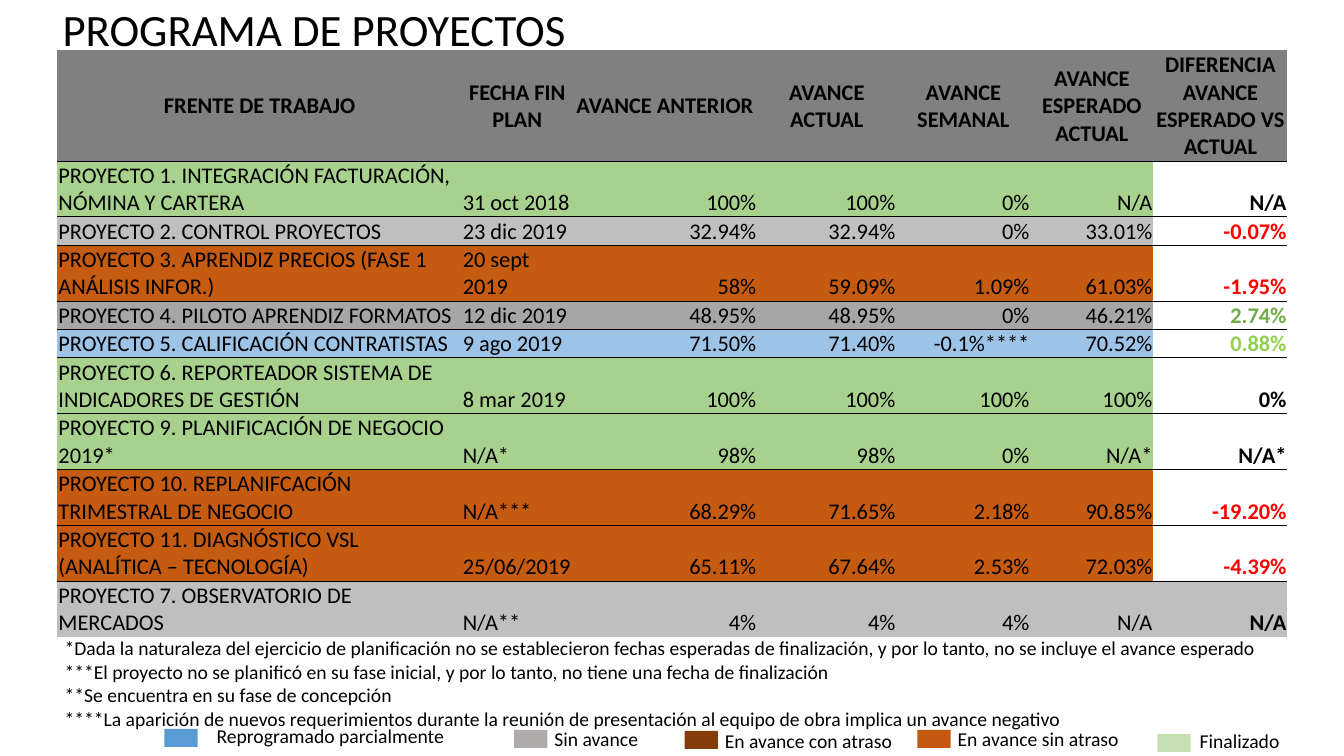
from dataclasses import dataclass
from typing import Any

from lxml import etree
from pptx import Presentation
from pptx import util as u
from pptx.dml.color import RGBColor
from pptx.enum import shapes, text
from pptx.oxml import ns

BLACK = RGBColor(0x00, 0x00, 0x00)
WHITE = RGBColor(0xFF, 0xFF, 0xFF)
HEADER_GRAY = RGBColor(0x80, 0x80, 0x80)
LIGHT_GRAY = RGBColor(0xBF, 0xBF, 0xBF)
MID_GRAY = RGBColor(0xA6, 0xA6, 0xA6)
GREEN = RGBColor(0xA9, 0xD1, 0x8E)
ORANGE = RGBColor(0xC5, 0x5A, 0x11)
BLUE = RGBColor(0x9D, 0xC3, 0xE6)
RED = RGBColor(0xFF, 0x00, 0x00)
GAIN_GREEN = RGBColor(0x70, 0xAD, 0x47)
GAIN_LIME = RGBColor(0x92, 0xD0, 0x50)
KEY_BLUE = RGBColor(0x5B, 0x9B, 0xD5)
KEY_GRAY = RGBColor(0xAF, 0xAB, 0xAB)
KEY_BROWN = RGBColor(0x84, 0x3C, 0x0B)
KEY_ORANGE = RGBColor(0xC6, 0x59, 0x11)
KEY_GREEN = RGBColor(0xC6, 0xE0, 0xB4)

FONT = "Calibri"
ALIGN = text.PP_ALIGN
ONE_LINE, TWO_LINES, HEADER_HEIGHT = 0.28, 0.54, 1.09
COLUMN_WIDTHS = [4.01, 1.1, 1.83, 1.38, 1.33, 1.22, 1.33]
CELL_FORMAT = {"margin_left": u.Inches(0.01), "margin_right": u.Inches(0.01),
               "margin_top": u.Inches(0.01), "margin_bottom": 0}
FRAME_FORMAT = {"word_wrap": True, "auto_size": text.MSO_AUTO_SIZE.NONE,
                "vertical_anchor": text.MSO_ANCHOR.TOP,
                "margin_left": u.Inches(0.1), "margin_right": u.Inches(0.1),
                "margin_top": u.Inches(0.05), "margin_bottom": u.Inches(0.05)}


@dataclass
class Project:
    values: list[str]
    fill: RGBColor
    height: float = TWO_LINES
    difference_color: RGBColor = BLACK
    difference_fill: RGBColor = WHITE


@dataclass
class LegendKey:
    label: str
    color: RGBColor
    left: float
    top: float
    label_left: float
    label_top: float
    label_width: float


HEADERS = ["FRENTE DE TRABAJO", "FECHA FIN PLAN", "AVANCE ANTERIOR", "AVANCE ACTUAL",
           "AVANCE SEMANAL", "AVANCE ESPERADO ACTUAL",
           "DIFERENCIA AVANCE ESPERADO VS ACTUAL"]

PROJECTS = [
    Project(["PROYECTO 1. INTEGRACIÓN FACTURACIÓN, NÓMINA Y CARTERA", "31 oct 2018",
             "100%", "100%", "0%", "N/A", "N/A"], GREEN),
    Project(["PROYECTO 2. CONTROL PROYECTOS", "23 dic 2019",
             "32.94%", "32.94%", "0%", "33.01%", "-0.07%"], LIGHT_GRAY, ONE_LINE, RED),
    Project(["PROYECTO 3. APRENDIZ PRECIOS (FASE 1 ANÁLISIS INFOR.)", "20 sept 2019",
             "58%", "59.09%", "1.09%", "61.03%", "-1.95%"], ORANGE, TWO_LINES, RED),
    Project(["PROYECTO 4. PILOTO APRENDIZ FORMATOS", "12 dic 2019",
             "48.95%", "48.95%", "0%", "46.21%", "2.74%"], MID_GRAY, ONE_LINE, GAIN_GREEN),
    Project(["PROYECTO 5. CALIFICACIÓN CONTRATISTAS", "9 ago 2019",
             "71.50%", "71.40%", "-0.1%****", "70.52%", "0.88%"], BLUE, ONE_LINE, GAIN_LIME),
    Project(["PROYECTO 6. REPORTEADOR SISTEMA DE INDICADORES DE GESTIÓN", "8 mar 2019",
             "100%", "100%", "100%", "100%", "0%"], GREEN),
    Project(["PROYECTO 9. PLANIFICACIÓN DE NEGOCIO 2019*", "N/A*",
             "98%", "98%", "0%", "N/A*", "N/A*"], GREEN),
    Project(["PROYECTO 10. REPLANIFCACIÓN TRIMESTRAL DE NEGOCIO", "N/A***",
             "68.29%", "71.65%", "2.18%", "90.85%", "-19.20%"], ORANGE, TWO_LINES, RED),
    Project(["PROYECTO 11. DIAGNÓSTICO VSL (ANALÍTICA – TECNOLOGÍA)", "25/06/2019",
             "65.11%", "67.64%", "2.53%", "72.03%", "-4.39%"], ORANGE, TWO_LINES, RED),
    Project(["PROYECTO 7. OBSERVATORIO DE MERCADOS", "N/A**",
             "4%", "4%", "4%", "N/A", "N/A"], LIGHT_GRAY, difference_fill=LIGHT_GRAY),
]

FOOTNOTES = [
    "*Dada la naturaleza del ejercicio de planificación no se establecieron fechas esperadas "
    "de finalización, y por lo tanto, no se incluye el avance esperado",
    "***El proyecto no se planificó en su fase inicial, y por lo tanto, no tiene una fecha "
    "de finalización",
    "**Se encuentra en su fase de concepción",
    "****La aparición de nuevos requerimientos durante la reunión de presentación al equipo "
    "de obra implica un avance negativo",
]

LEGEND = [
    LegendKey("Reprogramado parcialmente", KEY_BLUE, 1.63, 7.23, 2.05, 7.13, 2.97),
    LegendKey("Sin avance", KEY_GRAY, 5.1, 7.24, 5.4, 7.16, 1.3),
    LegendKey("En avance con atraso", KEY_BROWN, 6.79, 7.25, 7.09, 7.18, 1.93),
    LegendKey("En avance sin atraso", KEY_ORANGE, 9.1, 7.24, 9.4, 7.16, 1.93),
    LegendKey("Finalizado", KEY_GREEN, 11.48, 7.28, 11.8, 7.18, 1.02),
]


def apply_format(target: Any, values: dict[str, Any]) -> None:
    for name, value in values.items():
        setattr(target, name, value)


def place(shape: Any, left: float, top: float, width: float, height: float) -> None:
    apply_format(shape, {"left": u.Inches(left), "top": u.Inches(top),
                         "width": u.Inches(width), "height": u.Inches(height)})


def write(frame: Any, lines: list[str], size: float, bold: bool = False,
          color: RGBColor = BLACK, align: Any = ALIGN.LEFT) -> None:
    for index, line in enumerate(lines):
        paragraph = frame.paragraphs[0] if index == 0 else frame.add_paragraph()
        run = paragraph.add_run()
        run.text = line
        apply_format(paragraph, {"alignment": align, "space_before": u.Pt(0)})
        apply_format(run.font, {"name": FONT, "size": u.Pt(size), "bold": bold})
        run.font.color.rgb = color


def set_borders(cell: Any, top: bool, bottom: bool) -> None:
    properties = cell._tc.get_or_add_tcPr()
    for side, visible in (("L", False), ("R", False), ("T", top), ("B", bottom)):
        line = etree.SubElement(properties, ns.qn(f"a:ln{side}"), w=str(u.Pt(0.5)))
        if visible:
            fill = etree.SubElement(line, ns.qn("a:solidFill"))
            etree.SubElement(fill, ns.qn("a:srgbClr"), val=str(BLACK))
        else:
            etree.SubElement(line, ns.qn("a:noFill"))


def fill_cell(cell: Any, value: str, fill: RGBColor, anchor: Any, **style: Any) -> None:
    apply_format(cell, {**CELL_FORMAT, "vertical_anchor": anchor})
    cell.fill.solid()
    cell.fill.fore_color.rgb = fill
    write(cell.text_frame, [value], 16, **style)


def add_project_table(slide: Any) -> None:
    heights = [HEADER_HEIGHT] + [project.height for project in PROJECTS]
    table = slide.shapes.add_table(
        len(heights), len(HEADERS), u.Inches(0.57), u.Inches(0.5),
        u.Inches(sum(COLUMN_WIDTHS)), u.Inches(sum(heights))).table
    apply_format(table, {"first_row": False, "horz_banding": False})
    for column, width in zip(table.columns, COLUMN_WIDTHS):
        column.width = u.Inches(width)
    for index, (row, height) in enumerate(zip(table.rows, heights)):
        row.height = u.Inches(height)
        for cell in row.cells:
            set_borders(cell, top=index > 0, bottom=index < len(PROJECTS))

    for column, header in enumerate(HEADERS):
        fill_cell(table.cell(0, column), header, HEADER_GRAY, text.MSO_ANCHOR.MIDDLE,
                  bold=True, align=ALIGN.CENTER)
    for row_index, project in enumerate(PROJECTS, start=1):
        for column, value in enumerate(project.values):
            last = column == len(HEADERS) - 1
            fill_cell(table.cell(row_index, column), value,
                      project.difference_fill if last else project.fill,
                      text.MSO_ANCHOR.BOTTOM, bold=last,
                      color=project.difference_color if last else BLACK,
                      align=ALIGN.LEFT if column < 2 else ALIGN.RIGHT)


def add_legend_key(slide: Any, key: LegendKey) -> None:
    swatch = slide.shapes.add_shape(
        shapes.MSO_SHAPE.RECTANGLE, u.Inches(key.left), u.Inches(key.top),
        u.Inches(0.33), u.Inches(0.18))
    swatch.shadow.inherit = False
    swatch.fill.solid()
    swatch.fill.fore_color.rgb = key.color
    swatch.line.fill.background()
    label = slide.shapes.add_textbox(
        u.Inches(key.label_left), u.Inches(key.label_top),
        u.Inches(key.label_width), u.Inches(0.34))
    apply_format(label.text_frame, FRAME_FORMAT)
    write(label.text_frame, [key.label], 14)


def main() -> None:
    presentation = Presentation()
    apply_format(presentation, {"slide_width": u.Inches(13.33), "slide_height": u.Inches(7.5)})
    slide = presentation.slides.add_slide(presentation.slide_layouts[1])

    # Title and footnotes
    title, footnotes = slide.placeholders
    place(title, 0.52, -0.03, 5.34, 0.64)
    place(footnotes, 0.54, 6.26, 12.2, 1.04)
    for placeholder, lines, size in ((title, ["PROGRAMA DE PROYECTOS"], 32),
                                     (footnotes, FOOTNOTES, 14)):
        apply_format(placeholder.text_frame, FRAME_FORMAT)
        write(placeholder.text_frame, lines, size)
    for paragraph in footnotes.text_frame.paragraphs:
        properties = paragraph._p.get_or_add_pPr()
        properties.set("marL", "0")
        properties.set("indent", "0")
        etree.SubElement(properties, ns.qn("a:buNone"))

    # Progress table and colour legend
    add_project_table(slide)
    for key in LEGEND:
        add_legend_key(slide, key)

    presentation.save("out.pptx")


if __name__ == "__main__":
    main()
